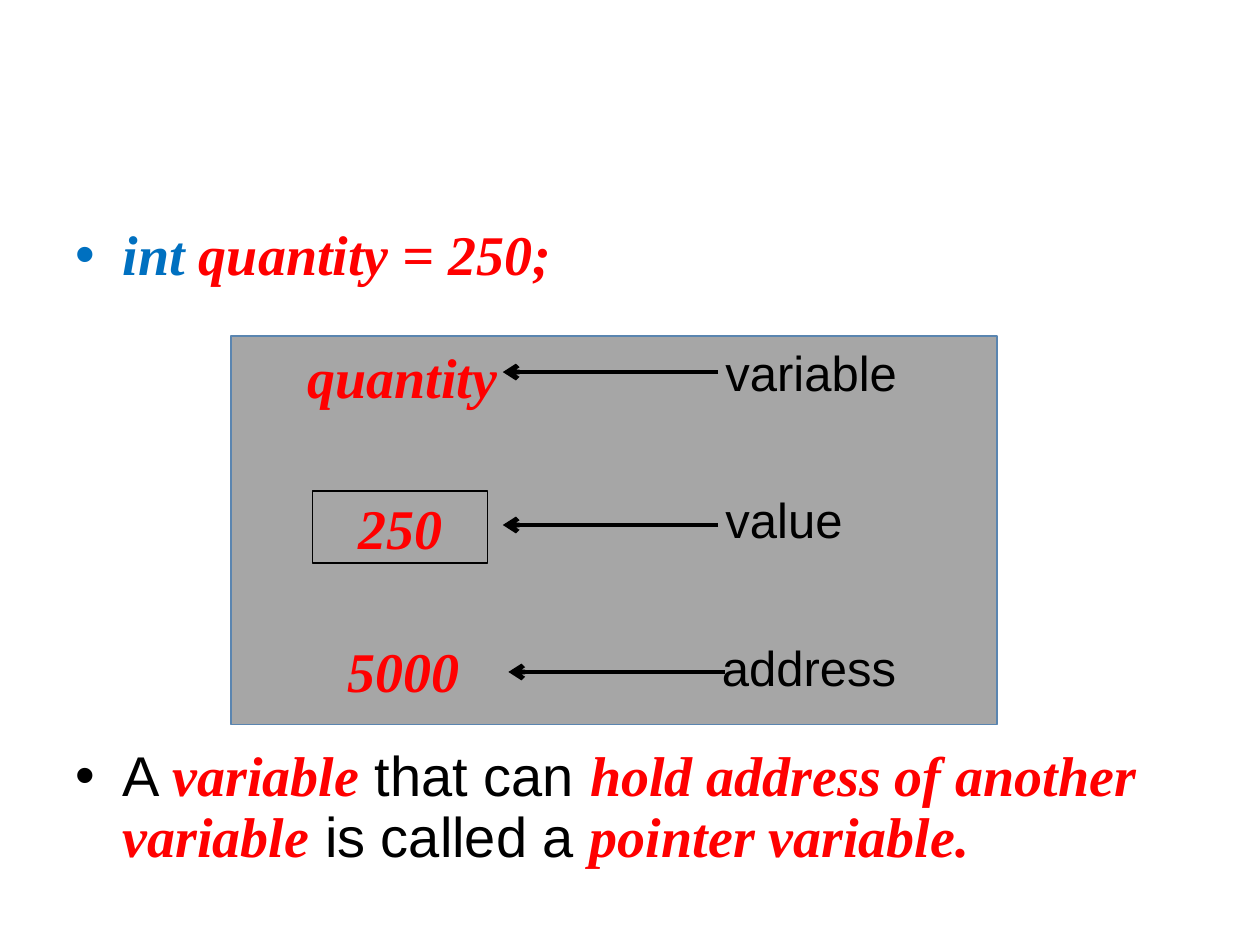
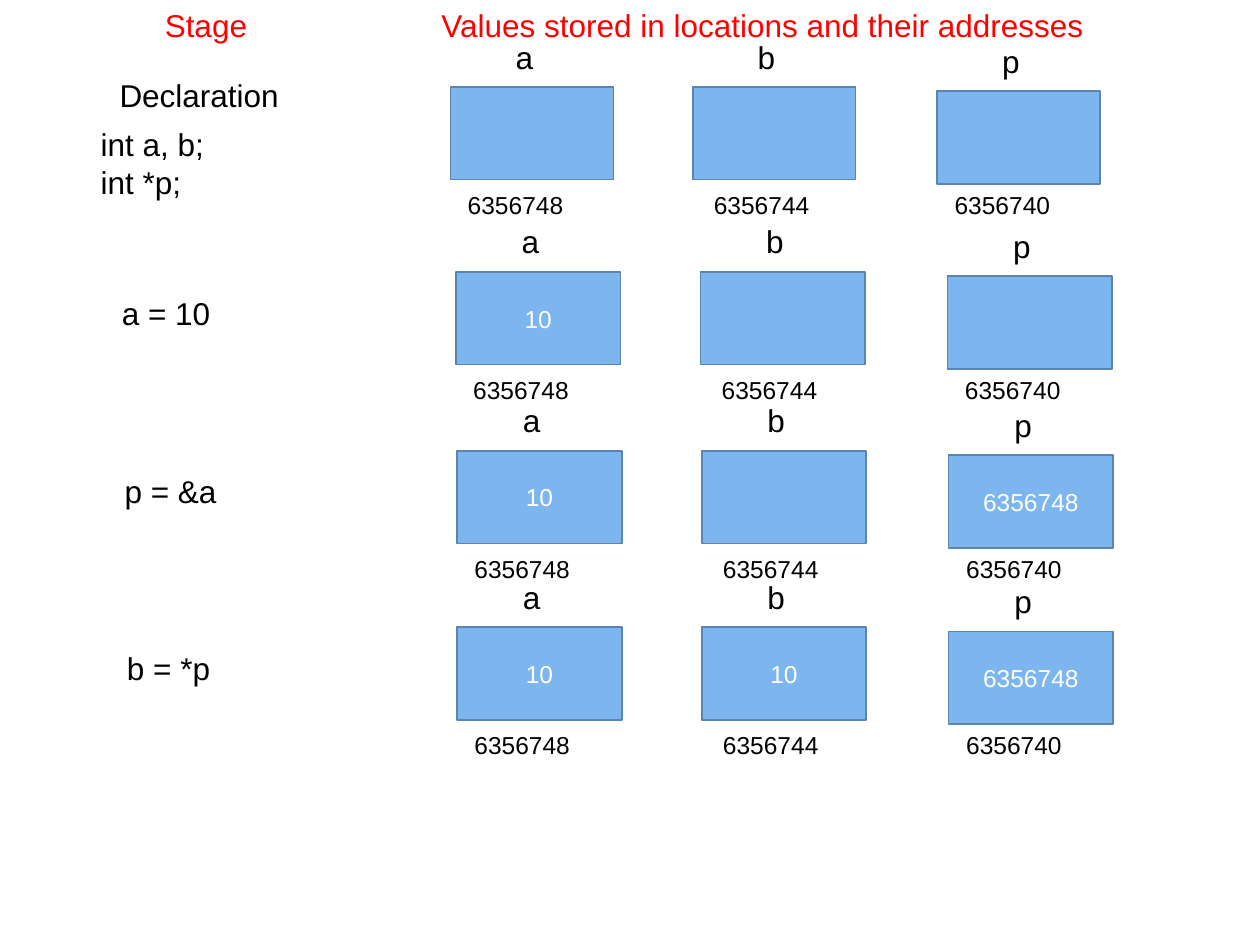
import typing

import lxml.etree
import pptx
import pptx.dml.color
import pptx.enum.shapes
import pptx.enum.text
import pptx.oxml.ns
import pptx.util

Pt = pptx.util.Pt
qn = pptx.oxml.ns.qn

COLORS = {
    "ink": "000000",
    "accent": "FF0000",
    "keyword": "0070C0",
    "panel": "A6A6A6",
    "cell": "7DB6EF",
    "outline": "5A85B0",
    "light": "FFFFFF",
}
CODE_STYLE = dict(size=32, font="Times New Roman", color="accent", bold=True, italic=True)
PROSE_STYLE = dict(size=32)


class Box(typing.NamedTuple):
    left: float
    top: float
    width: float
    height: float


class Part(typing.NamedTuple):
    """A row of the memory diagram: a label with an arrow pointing left."""
    label: str
    label_box: Box
    arrow_start: float
    arrow_end: float
    arrow_top: float


class Column(typing.NamedTuple):
    name: str
    address: str
    offset: float
    drop: float
    address_shift: float


class Stage(typing.NamedTuple):
    label: str
    label_box: Box
    left: float
    top: float
    values: tuple[str, str, str]
    scale: float = 1


PARTS = [
    Part("variable", Box(407.5, 192.2, 116, 41), 410.4, 287.3, 212.6),
    Part("value", Box(407.5, 276, 86, 41), 410.4, 287.3, 300),
    Part("address", Box(405.4, 360.7, 118, 41), 414, 290.5, 384),
]
COLUMNS = [
    Column("a", "6356748", 0, 0, 2.7),
    Column("b", "6356744", 139.7, 0, 5),
    Column("p", "6356740", 280.8, 2.5, 2.9),
]
STAGES = [
    Stage("Declaration", Box(61.2, 39.6, 120, 29), 257.5, 49.7, ("", "", ""), 0.99),
    Stage("a = 10", Box(62.6, 164.2, 72, 29), 260.6, 155.4, ("10", "", "")),
    Stage("p = &a", Box(64.1, 266.4, 72, 29), 261.3, 257.6, ("10", "", "6356748")),
    Stage("b = *p", Box(65.5, 367.2, 72, 29), 261.3, 358.4, ("10", "10", "6356748")),
]
CELL_WIDTH, CELL_HEIGHT = 94, 53
NAME_SHIFT, NAME_RISE = 30.4, 31.8
ADDRESS_GAP = 55.3


def rgb(name: str) -> pptx.dml.color.RGBColor:
    return pptx.dml.color.RGBColor.from_string(COLORS[name])


def write(paragraph, text: str, *, size: float = 18, font: str = "Arial",
          color: str = "ink", bold: bool = False, italic: bool = False) -> None:
    """Append one formatted run to the paragraph."""
    run = paragraph.add_run()
    run.text = text
    run.font.size = Pt(size)
    run.font.name = font
    run.font.color.rgb = rgb(color)
    run.font.bold = bold
    run.font.italic = italic


def add_text(slide, box: Box, *lines: str, wrap: bool = False, **style):
    """Add a text box with one paragraph for each line."""
    frame = slide.shapes.add_textbox(*map(Pt, box)).text_frame
    frame.word_wrap = wrap
    for number, line in enumerate(lines):
        paragraph = frame.add_paragraph() if number else frame.paragraphs[0]
        write(paragraph, line, **style)
    return frame


def add_rectangle(slide, box: Box, *, fill: str = "", line: str = "outline",
                  text: str = "", **style) -> None:
    shape = slide.shapes.add_shape(
        pptx.enum.shapes.MSO_SHAPE.RECTANGLE, *map(Pt, box))
    shape.shadow.inherit = False
    if fill:
        shape.fill.solid()
        shape.fill.fore_color.rgb = rgb(fill)
    else:
        shape.fill.background()
    shape.line.color.rgb = rgb(line)
    shape.line.width = Pt(1)
    if text:
        shape.text_frame.vertical_anchor = pptx.enum.text.MSO_ANCHOR.MIDDLE
        paragraph = shape.text_frame.paragraphs[0]
        paragraph.alignment = pptx.enum.text.PP_ALIGN.CENTER
        write(paragraph, text, **style)


def add_arrow(slide, start: float, end: float, top: float) -> None:
    arrow = slide.shapes.add_connector(
        pptx.enum.shapes.MSO_CONNECTOR.STRAIGHT, Pt(start), Pt(top), Pt(end), Pt(top))
    arrow.line.color.rgb = rgb("ink")
    arrow.line.width = Pt(2.75)
    lxml.etree.SubElement(arrow.line._get_or_add_ln(), qn("a:tailEnd"), type="arrow")
    lxml.etree.SubElement(arrow._element.spPr, qn("a:effectLst"))


def format_bullet(paragraph, color: str, space_before: float = 0) -> None:
    properties = paragraph._p.get_or_add_pPr()
    properties.set("marL", str(Pt(27)))
    properties.set("indent", str(-Pt(27)))
    bullet_color = lxml.etree.SubElement(properties, qn("a:buClr"))
    lxml.etree.SubElement(bullet_color, qn("a:srgbClr"), val=COLORS[color])
    lxml.etree.SubElement(properties, qn("a:buFont"), typeface="Arial")
    lxml.etree.SubElement(properties, qn("a:buChar"), char="•")
    paragraph.line_spacing = 0.9
    paragraph.space_before = Pt(space_before)


def build_variable_slide(slide) -> None:
    add_rectangle(slide, Box(131.8, 192.2, 437.8, 221.8), fill="panel")

    body = add_text(slide, Box(36, 126, 648, 396), "int ", wrap=True,
                    **{**CODE_STYLE, "color": "keyword"})
    declaration, definition = body.paragraphs[0], body.add_paragraph()
    format_bullet(declaration, "keyword")
    write(declaration, "quantity = 250;", **CODE_STYLE)
    format_bullet(definition, "ink", space_before=263.5)
    for text, style in [
        ("A ", PROSE_STYLE),
        ("variable", CODE_STYLE),
        (" that can ", PROSE_STYLE),
        ("hold address of another variable", CODE_STYLE),
        (" is called a ", PROSE_STYLE),
        ("pointer variable.", CODE_STYLE),
    ]:
        write(definition, text, **style)

    add_text(slide, Box(168.5, 192.2, 126, 46), "quantity", wrap=True, **CODE_STYLE)
    add_text(slide, Box(191.5, 360, 84, 46), "5000", **CODE_STYLE)
    for part in PARTS:
        add_text(slide, part.label_box, part.label, size=28)
        add_arrow(slide, part.arrow_start, part.arrow_end, part.arrow_top)
    add_rectangle(slide, Box(178.6, 280.6, 100, 41.2), line="ink", text="250", **CODE_STYLE)


def add_stage(slide, stage: Stage) -> None:
    add_text(slide, stage.label_box, stage.label)
    for column, value in zip(COLUMNS, stage.values):
        left = stage.left + column.offset * stage.scale
        top = stage.top + column.drop
        add_rectangle(slide, Box(left, top, CELL_WIDTH * stage.scale, CELL_HEIGHT),
                      fill="cell", text=value, size=14, color="light")
        add_text(slide, Box(left + NAME_SHIFT * stage.scale, top - NAME_RISE, 28, 29),
                 column.name)
        add_text(slide, Box(left + column.address_shift, stage.top + ADDRESS_GAP, 76, 24.5),
                 column.address, size=14)


def build_stages_slide(slide) -> None:
    add_text(slide, Box(87.1, 0, 72, 29), "Stage", color="accent")
    add_text(slide, Box(245.2, 0, 396, 29),
             "Values stored in locations and their addresses", color="accent")
    for stage in STAGES:
        add_stage(slide, stage)
    add_text(slide, Box(50.4, 67.9, 134.6, 50.4), "int a, b;", "int *p;", wrap=True)


def main() -> None:
    presentation = pptx.Presentation()
    presentation.slide_width = Pt(720)
    presentation.slide_height = Pt(540)
    blank = presentation.slide_layouts[6]
    for build in (build_variable_slide, build_stages_slide):
        build(presentation.slides.add_slide(blank))
    presentation.save("out.pptx")


if __name__ == "__main__":
    main()
